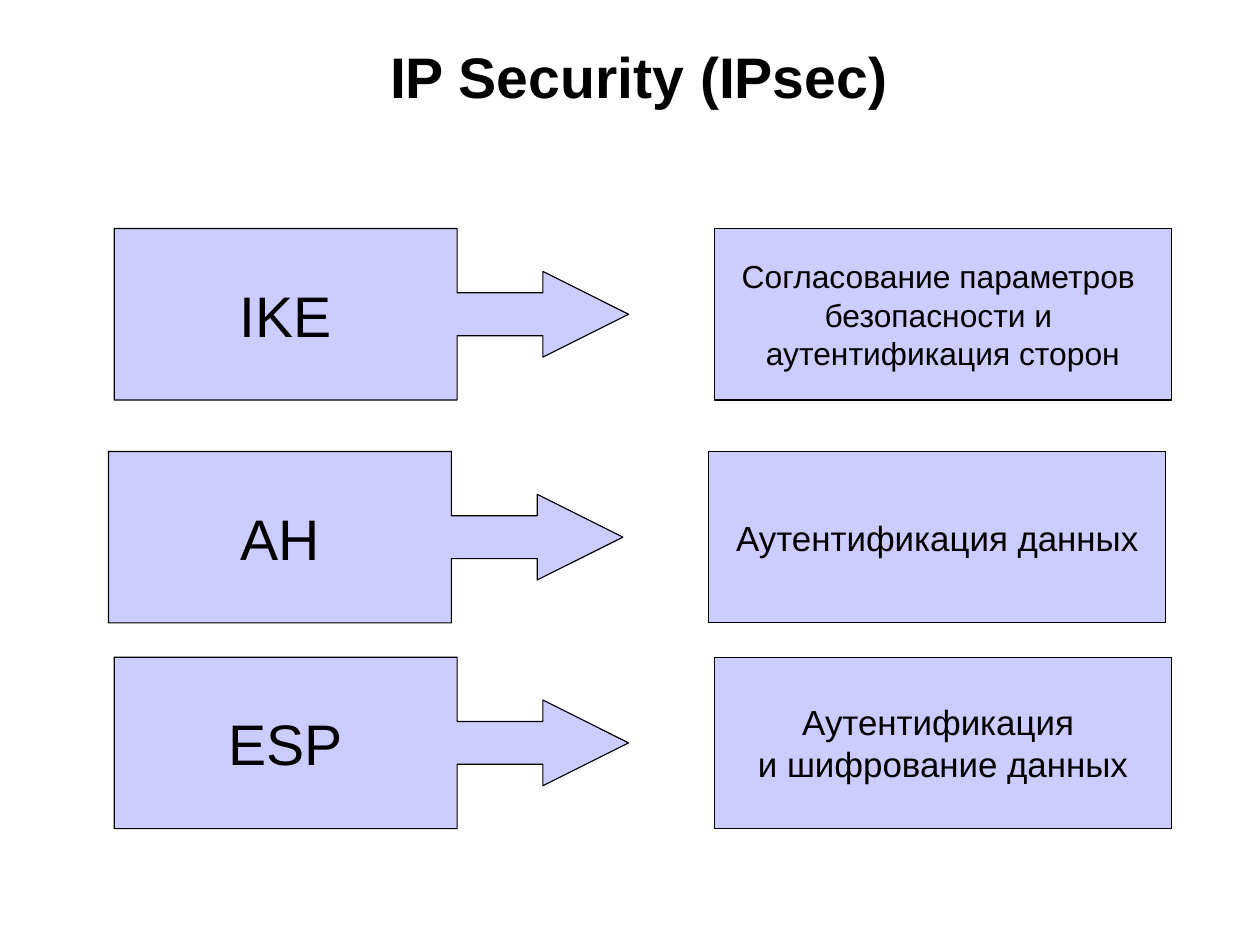
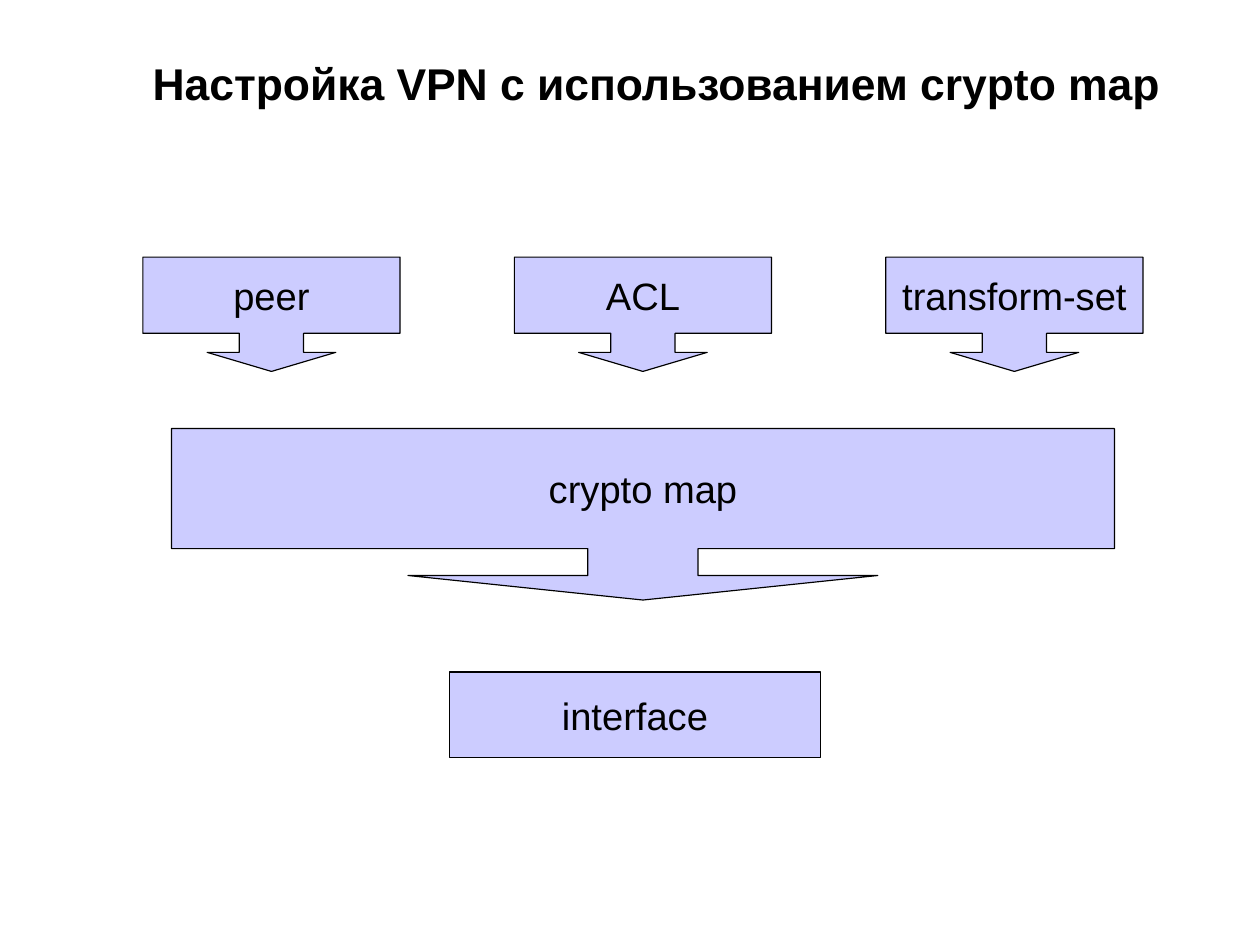
"""Build two slides on IPsec and on VPN set-up with a crypto map."""
from pptx import Presentation
from pptx.dml.color import RGBColor
from pptx.enum.shapes import MSO_SHAPE
from pptx.enum.text import MSO_ANCHOR, PP_ALIGN
from pptx.util import Inches, Pt

RECTANGLE = MSO_SHAPE.RECTANGLE
RIGHT_CALLOUT = MSO_SHAPE.RIGHT_ARROW_CALLOUT
DOWN_CALLOUT = MSO_SHAPE.DOWN_ARROW_CALLOUT
MIDDLE, BOTTOM = MSO_ANCHOR.MIDDLE, MSO_ANCHOR.BOTTOM
CENTER = PP_ALIGN.CENTER

CM_PER_INCH = 2.54
SLIDE_WIDTH = Inches(28 / CM_PER_INCH)
SLIDE_HEIGHT = Inches(21 / CM_PER_INCH)
BLANK_LAYOUT = 6
FONT = "Arial"
COLORS = {"text": "000000", "line": "000000", "block": "CCCCFF"}

PROTOCOL_ARROW = (1 / 4, 1 / 4, 1 / 2, 2 / 3)
PART_ARROW = (9 / 16, 9 / 16, 1 / 6, 2 / 3)
MAP_ARROW = (9 / 14, 1.37, 1 / 7, 0.7)

PROTOCOLS = [
    ("IKE", ["Согласование параметров ", "безопасности и ", "аутентификация сторон"], 20, 1, 2),
    ("AH", ["Аутентификация данных"], 22, 0.95, 3.95),
    ("ESP", ["Аутентификация ", "и шифрование данных"], 22, 1, 5.75),
]
MAP_PARTS = ["peer", "ACL", "transform-set"]


def color(name):
    """Return the named colour."""
    return RGBColor.from_string(COLORS[name])


def write(shape, lines, size, bold=False, anchor=MIDDLE, wrap=True, margins=(0.1, 0.05)):
    """Write centred lines of text into a shape, one paragraph each."""
    frame = shape.text_frame
    frame.word_wrap = wrap
    frame.vertical_anchor = anchor
    frame.margin_left = frame.margin_right = Inches(margins[0])
    frame.margin_top = frame.margin_bottom = Inches(margins[1])
    for index, line in enumerate(lines):
        para = frame.add_paragraph() if index else frame.paragraphs[0]
        para.alignment = CENTER
        span = para.add_run()
        span.text = line
        span.font.name = FONT
        span.font.size = Pt(size)
        span.font.bold = bold
        span.font.color.rgb = color("text")


def add_title(page, text, box, size):
    """Add a bold slide title at the bottom of its box."""
    title = page.shapes.add_textbox(*map(Inches, box))
    write(title, [text], size, bold=True, anchor=BOTTOM, margins=(0.09, 0.04))


def add_block(page, lines, box, size, kind=RECTANGLE, adjustments=()):
    """Add a filled block, plain or with an arrow, that holds text."""
    block = page.shapes.add_shape(kind, *map(Inches, box))
    for index, value in enumerate(adjustments):
        block.adjustments[index] = value
    block.shadow.inherit = False
    block.fill.solid()
    block.fill.fore_color.rgb = color("block")
    block.line.color.rgb = color("line")
    block.line.width = Pt(0)
    write(block, lines, size, wrap=kind == RECTANGLE)


def add_protocol(page, name, purpose, size, left, top):
    """Add a row that leads from a protocol to its purpose."""
    height = 1.5
    add_block(page, [name], (left, top, 4.5, height), 36, RIGHT_CALLOUT, PROTOCOL_ARROW)
    add_block(page, purpose, (left + 5.25, top, 4, height), size)


def add_map_parts(page, left, top, width, gap):
    """Add the equally spaced parts that feed the crypto map."""
    for index, part in enumerate(MAP_PARTS):
        box = (left + index * (width + gap), top, width, 1)
        add_block(page, [part], box, 24, DOWN_CALLOUT, PART_ARROW)


def build_protocol_slide(page):
    """Build the overview of the IPsec protocols."""
    add_title(page, "IP Security (IPsec)", (0.43, 0.25, 10.32, 0.75), 36)
    for row in PROTOCOLS:
        add_protocol(page, *row)


def build_map_slide(page):
    """Build the diagram of the crypto map."""
    add_title(page, "Настройка VPN с использованием crypto map", (0.83, 0.28, 9.82, 0.72), 28)
    add_map_parts(page, left=1.25, top=2.25, width=2.25, gap=1)
    add_block(page, ["crypto map"], (1.5, 3.75, 8.25, 1.5), 24, DOWN_CALLOUT, MAP_ARROW)
    add_block(page, ["interface"], (3.93, 5.88, 3.25, 0.75), 24)


def main():
    """Build and save the deck."""
    deck = Presentation()
    deck.slide_width = SLIDE_WIDTH
    deck.slide_height = SLIDE_HEIGHT
    for build in (build_protocol_slide, build_map_slide):
        build(deck.slides.add_slide(deck.slide_layouts[BLANK_LAYOUT]))
    deck.save("out.pptx")


if __name__ == "__main__":
    main()
